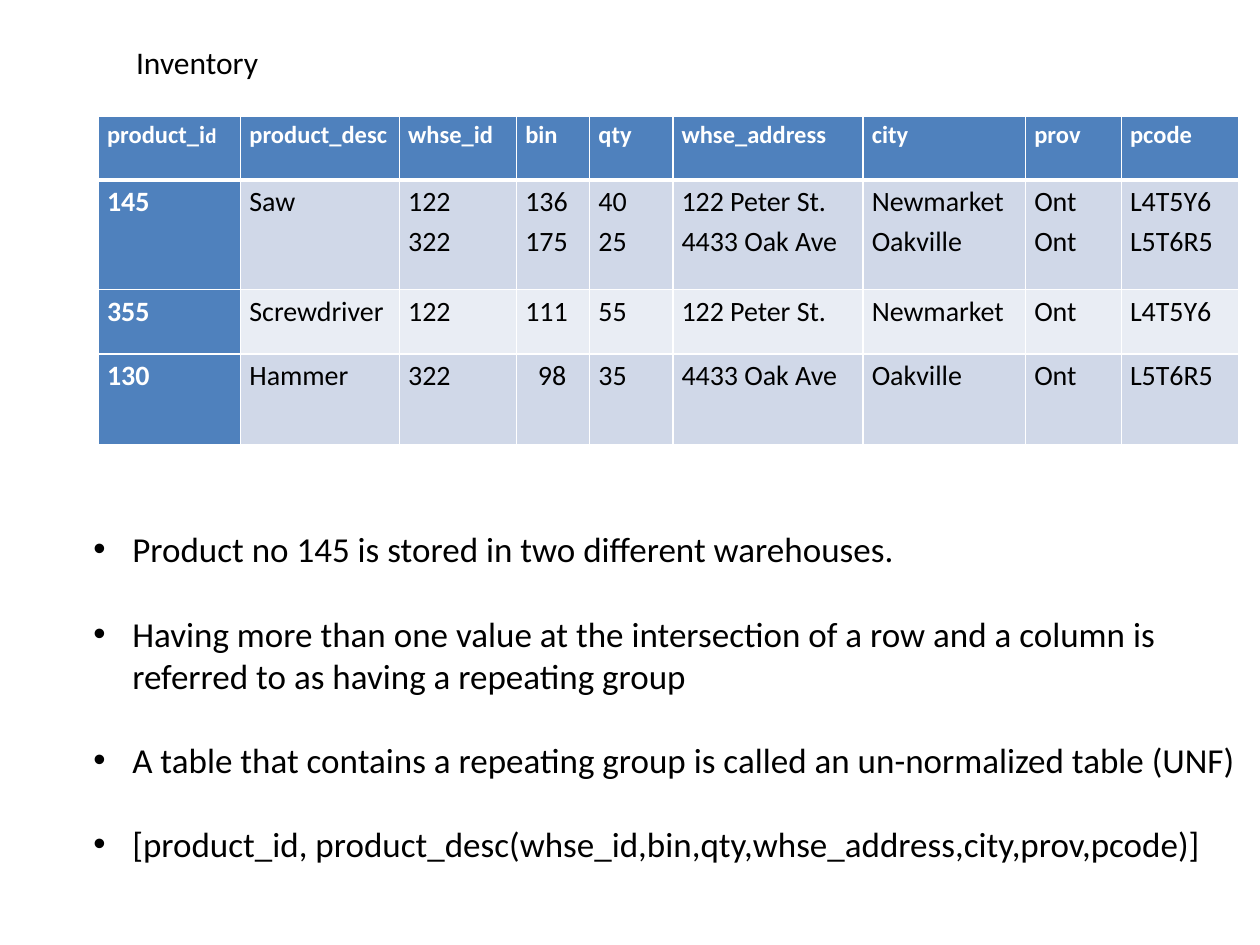
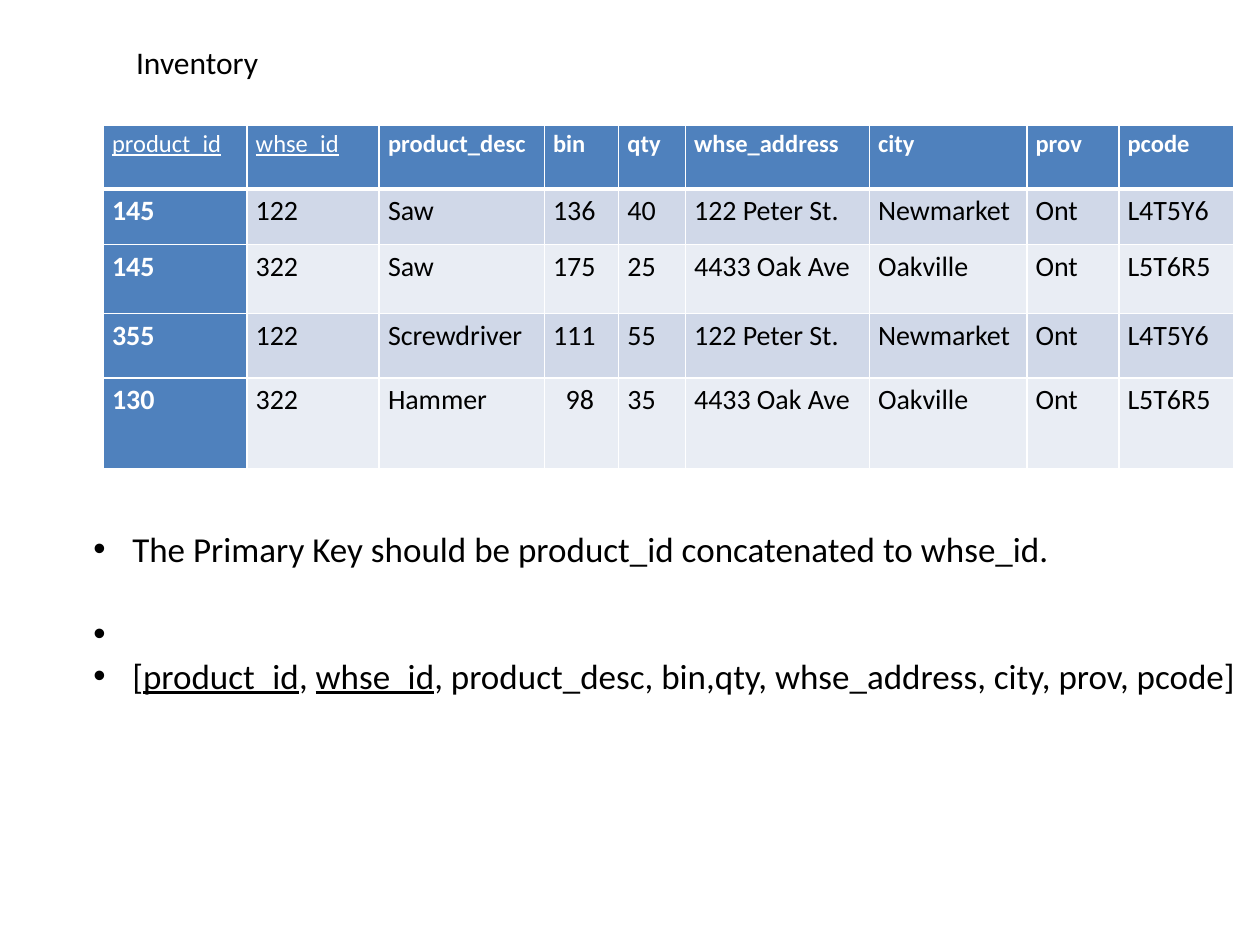
from dataclasses import dataclass
from itertools import groupby

from lxml import etree
from pptx import Presentation
from pptx import util as u
from pptx.dml.color import RGBColor
from pptx.enum import text
from pptx.oxml.ns import qn

SCALE = 9144


@dataclass(frozen=True)
class Theme:
    font: str = "Calibri"
    ink: str = "000000"
    white: str = "FFFFFF"
    accent: str = "4F81BD"
    bands: tuple = ("D0D8E8", "E9EDF4")
    title_size: int = 18
    body_size: int = 20
    header_size: int = 14
    small_header_size: int = 12
    cell_size: int = 16
    cell_spacing: float = 1.15
    bullet_gap: int = 24
    rule: int = 1
    header_rule: int = 3


def px(length):
    return u.Emu(length * SCALE)


def apply(target, values):
    for name, value in values.items():
        setattr(target, name, value)


class Slides:
    def __init__(self, theme):
        self.theme = theme
        self.deck = Presentation()
        apply(self.deck, {"slide_width": px(1000), "slide_height": px(750)})
        self.page = None

    def add_page(self):
        self.page = self.deck.slides.add_slide(self.deck.slide_layouts[1])

    def add_line(self, para, line, size, color, **style):
        spans = [(line, {})] if isinstance(line, str) else line
        for words, changes in spans:
            span = para.add_run()
            span.text = words
            values = {"name": self.theme.font, "size": size, "bold": False, **style, **changes}
            values["size"] = u.Pt(values["size"])
            apply(span.font, values)
            span.font.color.rgb = RGBColor.from_string(color)

    def place(self, box, bounds, wrap):
        apply(box, dict(zip(("left", "top", "width", "height"), map(px, bounds))))
        apply(box.text_frame, {
            "word_wrap": wrap,
            "auto_size": text.MSO_AUTO_SIZE.SHAPE_TO_FIT_TEXT,
            "vertical_anchor": text.MSO_ANCHOR.TOP,
        })
        return box.text_frame

    def title(self, words):
        frame = self.place(self.page.shapes.title, (98, 29, 118, 40), False)
        para = frame.paragraphs[0]
        para.alignment = text.PP_ALIGN.LEFT
        self.add_line(para, words, self.theme.title_size, self.theme.ink)

    def bullets(self, lines, height, tight=()):
        frame = self.place(self.page.placeholders[1], (64, 414, 933, height), True)
        for index, line in enumerate(lines):
            para = frame.add_paragraph() if index else frame.paragraphs[0]
            gap = 0 if index == 0 or index in tight else self.theme.bullet_gap
            para.space_before = u.Pt(gap)
            props = para._p.get_or_add_pPr()
            props.set("marL", str(px(31)))
            props.set("indent", str(px(-31)))
            self.add_line(para, line, self.theme.body_size, self.theme.ink)

    def borders(self, cell, row):
        props = cell._tc.get_or_add_tcPr()
        thick = {0: "lnB", 1: "lnT"}.get(row)
        for side in ("lnL", "lnR", "lnT", "lnB"):
            points = self.theme.header_rule if side == thick else self.theme.rule
            line = etree.SubElement(props, qn(f"a:{side}"), w=str(u.Pt(points)))
            fill = etree.SubElement(line, qn("a:solidFill"))
            etree.SubElement(fill, qn("a:srgbClr"), val=self.theme.white)

    def cell(self, cell, row, column, content, number_column):
        theme = self.theme
        heading = row == 0 or column == 0
        self.borders(cell, row)
        cell.fill.solid()
        fill = theme.accent if heading else theme.bands[(row - 1) % 2]
        cell.fill.fore_color.rgb = RGBColor.from_string(fill)
        apply(cell, {"margin_left": px(7), "margin_right": px(7),
                     "margin_top": 0, "margin_bottom": 0})
        lines = content.split("\n") if isinstance(content, str) else [content]
        for index, line in enumerate(lines):
            frame = cell.text_frame
            para = frame.add_paragraph() if index else frame.paragraphs[0]
            para.line_spacing = theme.cell_spacing
            if row and column == number_column and len(line) < 3:
                para._p.get_or_add_pPr().set("marL", str(px(10)))
            self.add_line(para, line, theme.cell_size if row else theme.header_size,
                          theme.white if heading else theme.ink, bold=heading)

    def table(self, left, top, widths, heights, rows, number_column):
        frame = self.page.shapes.add_table(
            len(rows), len(widths), px(left), px(top), px(sum(widths)), px(sum(heights)))
        grid = frame.table
        grid.first_col = True
        for column, width in zip(grid.columns, widths):
            column.width = px(width)
        for row, height in zip(grid.rows, heights):
            row.height = px(height)
        for row, values in enumerate(rows):
            for column, content in enumerate(values):
                self.cell(grid.cell(row, column), row, column, content, number_column)


WAREHOUSES = {
    "122": ("122 Peter St.", "Newmarket", "Ont", "L4T5Y6"),
    "322": ("4433 Oak Ave", "Oakville", "Ont", "L5T6R5"),
}
ADDRESS_HEADERS = ("whse_address", "city", "prov", "pcode")
STOCK = [
    ("145", "Saw", "122", "136", "40"),
    ("145", "Saw", "322", "175", "25"),
    ("355", "Screwdriver", "122", "111", "55"),
    ("130", "Hammer", "322", "98", "35"),
]


def repeating_group_rows():
    rows = []
    for product, items in groupby(STOCK, key=lambda item: item[:2]):
        details = [item[2:] + WAREHOUSES[item[2]] for item in items]
        rows.append(product + tuple("\n".join(values) for values in zip(*details)))
    return rows


def single_value_rows():
    return [(product, warehouse, description, bin_number, quantity) + WAREHOUSES[warehouse]
            for product, description, warehouse, bin_number, quantity in STOCK]


def unnormalized_page(slides):
    slides.add_page()
    slides.title("Inventory")
    product_header = [("product_i", {}), ("d", {"size": slides.theme.small_header_size})]
    headers = (product_header, "product_desc", "whse_id", "bin", "qty") + ADDRESS_HEADERS
    slides.table(78, 92, (113, 126, 93, 58, 66, 151, 129, 76, 93), (51, 87, 51, 72),
                 [headers, *repeating_group_rows()], number_column=3)
    slides.bullets([
        "Product no 145 is stored in two different warehouses.",
        "Having more than one value at the intersection of a row and a column is "
        "referred to as having a repeating group",
        "A table that contains a repeating group is called an un-normalized table (UNF)",
        "[product_id, product_desc(whse_id,bin,qty,whse_address,city,prov,pcode)]",
    ], 313)


def primary_key_page(slides):
    slides.add_page()
    slides.title("Inventory")
    keys = [[(key, {"underline": True, "bold": False})] for key in ("product_id", "whse_id")]
    headers = (*keys, "product_desc", "bin", "qty") + ADDRESS_HEADERS
    slides.table(82, 99, (114, 105, 131, 59, 53, 146, 125, 73, 91), (51, 44, 55, 51, 72),
                 [headers, *single_value_rows()], number_column=3)
    underlined = {"underline": True}
    slides.bullets([
        "The Primary Key should be product_id concatenated to whse_id.",
        " ",
        [("[", {}), ("product_id", underlined), (", ", {}), ("whse_id", underlined),
         (", product_desc, bin,qty, whse_address, city, prov, pcode]", {})],
    ], 178, tight=(2,))


def main():
    slides = Slides(Theme())
    unnormalized_page(slides)
    primary_key_page(slides)
    slides.deck.save("out.pptx")


if __name__ == "__main__":
    main()
